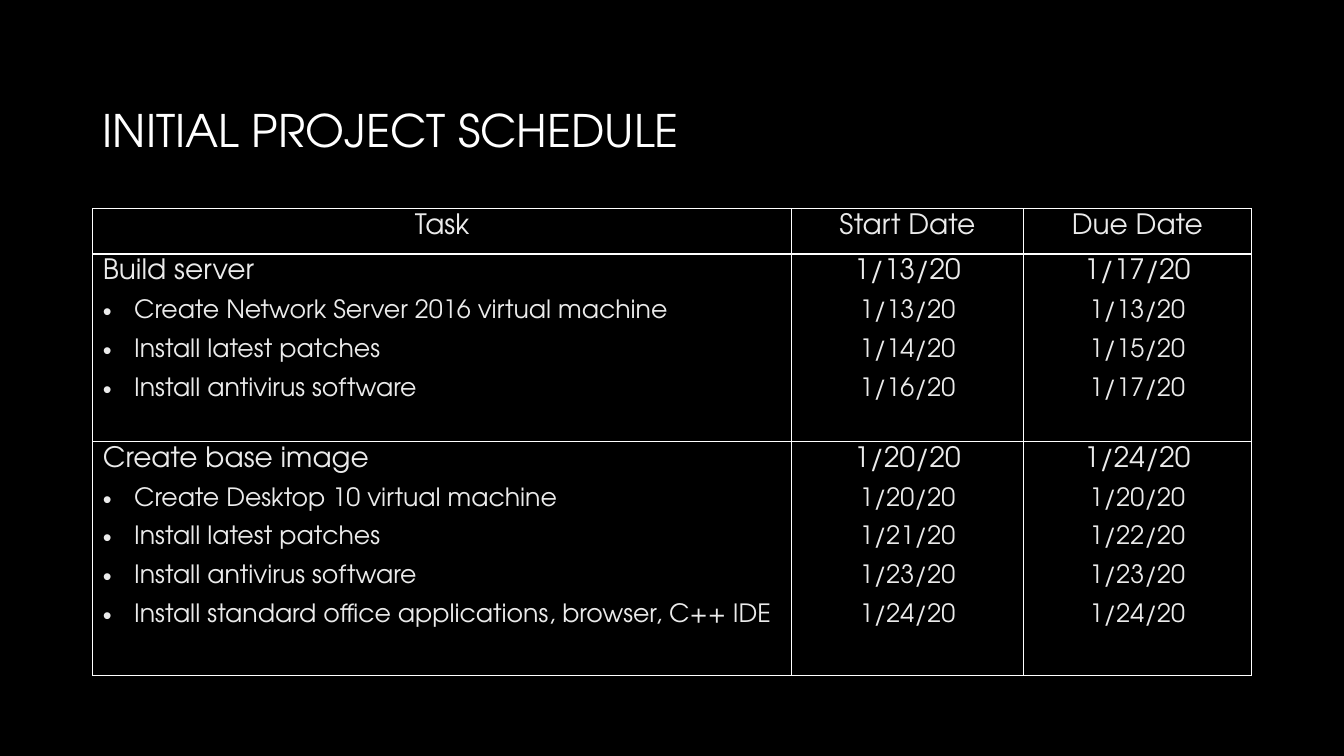
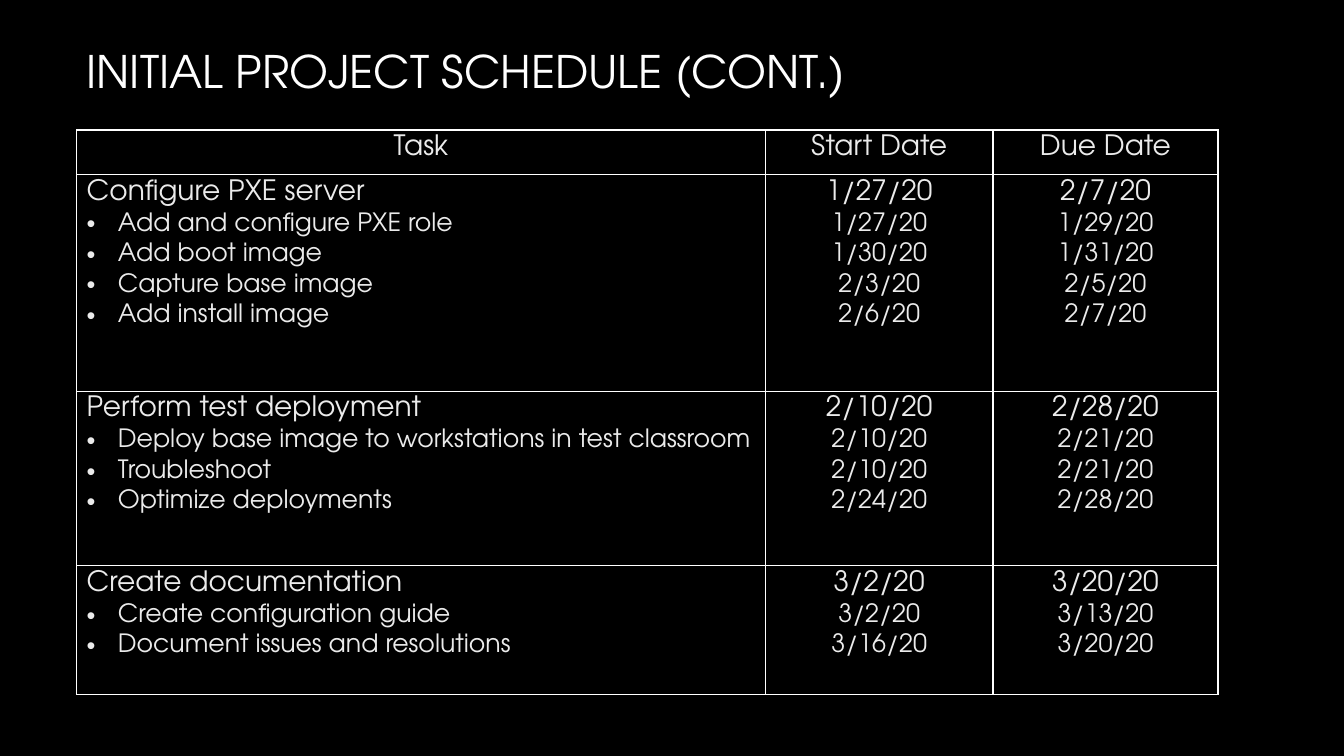
from pptx import Presentation
from pptx.util import Inches, Pt
from pptx.dml.color import RGBColor as RGB
from pptx.enum.text import MSO_ANCHOR as Anchor, PP_ALIGN as Align
from pptx.oxml import parse_xml as parse
from pptx.oxml.ns import nsdecls as decl

FONT = "TeX Gyre Adventor"
BLACK, WHITE, GRAY, PALE = "000000", "FFFFFF", "A6A6A6", "EBEBEB"
HEAD = ("Task", "Start Date", "Due Date")


def color(code):
    return RGB.from_string(code)


def write(para, text, size=18, hue=PALE, align=Align.LEFT, gap=(0, 0), bullet=False):
    para.alignment = align
    para.space_before, para.space_after = Pt(gap[0]), Pt(gap[1])
    run = para.add_run()
    run.text = text
    run.font.name = FONT
    run.font.size = Pt(size)
    run.font.bold = False
    run.font.color.rgb = color(hue)
    if bullet:
        props = para._p.get_or_add_pPr()
        props.set("marL", str(Inches(0.31)))
        props.set("indent", str(-Inches(0.31)))
        props.append(parse(f'<a:buFont {decl("a")} typeface="Arial"/>'))
        props.append(parse(f'<a:buChar {decl("a")} char="•"/>'))
    return run


class Deck:
    def __init__(self):
        self.prs = Presentation()
        self.prs.slide_width = Inches(13.33)
        self.prs.slide_height = Inches(7.5)
        fill = self.prs.slide_master.background.fill
        fill.solid()
        fill.fore_color.rgb = color(BLACK)

    def page(self, text, left, top):
        self.slide = self.prs.slides.add_slide(self.prs.slide_layouts[5])
        title = self.slide.shapes.title
        title.left, title.top = Inches(left), Inches(top)
        title.width, title.height = Inches(10.83), Inches(0.81)
        frame = title.text_frame
        frame.word_wrap = True
        frame.vertical_anchor = Anchor.MIDDLE
        run = write(frame.paragraphs[0], text, size=32, hue=WHITE)
        fill = run.font.fill
        fill.gradient()
        fill.gradient_angle = 267
        for stop, hue in zip(fill.gradient_stops, (WHITE, GRAY)):
            stop.color.rgb = color(hue)

    def border(self, cell):
        props = cell._tc.get_or_add_tcPr()
        for spot, side in enumerate(("lnL", "lnR", "lnT", "lnB")):
            props.insert(spot, parse(
                f'<a:{side} {decl("a")} w="{Pt(1)}"><a:solidFill>'
                f'<a:srgbClr val="{WHITE}"/></a:solidFill></a:{side}>'))

    def cell(self, cell, lines, align, gap, bullet):
        cell.fill.background()
        cell.vertical_anchor = Anchor.TOP
        cell.margin_left = cell.margin_right = Inches(0.1)
        cell.margin_top = Inches(0.05)
        cell.margin_bottom = 0
        frame = cell.text_frame
        for spot, line in enumerate(lines):
            para = frame.add_paragraph() if spot else frame.paragraphs[0]
            write(para, line, size=18 if spot else 20, align=align,
                  gap=gap, bullet=bullet and spot > 0)
        self.border(cell)

    def table(self, left, top, widths, heights, gap, groups):
        grid = self.slide.shapes.add_table(
            len(heights), len(widths), Inches(left), Inches(top),
            Inches(sum(widths)), Inches(sum(heights))).table
        grid.first_row = grid.horz_banding = False
        for col, width in zip(grid.columns, widths):
            col.width = Inches(width)
        for row, height in zip(grid.rows, heights):
            row.height = Inches(height)
        for spot, name in enumerate(HEAD):
            self.cell(grid.cell(0, spot), [name], Align.CENTER, (4.8, 6), False)
        for row, group in enumerate(groups, 1):
            for col, lines in enumerate(zip(*group)):
                align = Align.CENTER if col else Align.LEFT
                self.cell(grid.cell(row, col), lines, align, gap, col == 0)


def main():
    deck = Deck()
    deck.page("INITIAL PROJECT SCHEDULE", 0.92, 0.88)
    deck.table(0.92, 2.07, (6.93, 2.3, 2.26), (0.45, 1.86, 2.32), (4.8, 6), [
        [("Build server", "1/13/20", "1/17/20"),
         ("Create Network Server 2016 virtual machine", "1/13/20", "1/13/20"),
         ("Install latest patches", "1/14/20", "1/15/20"),
         ("Install antivirus software", "1/16/20", "1/17/20")],
        [("Create base image", "1/20/20", "1/24/20"),
         ("Create Desktop 10 virtual machine", "1/20/20", "1/20/20"),
         ("Install latest patches", "1/21/20", "1/22/20"),
         ("Install antivirus software", "1/23/20", "1/23/20"),
         ("Install standard office applications, browser, C++ IDE", "1/24/20", "1/24/20")],
    ])
    deck.page("INITIAL PROJECT SCHEDULE (CONT.)", 0.76, 0.3)
    deck.table(0.76, 1.29, (6.83, 2.26, 2.23), (0.44, 2.15, 1.73, 1.28), (2.5, 2.5), [
        [("Configure PXE server", "1/27/20", "2/7/20"),
         ("Add and configure PXE role", "1/27/20", "1/29/20"),
         ("Add boot image", "1/30/20", "1/31/20"),
         ("Capture base image", "2/3/20", "2/5/20"),
         ("Add install image", "2/6/20", "2/7/20")],
        [("Perform test deployment", "2/10/20", "2/28/20"),
         ("Deploy base image to workstations in test classroom", "2/10/20", "2/21/20"),
         ("Troubleshoot", "2/10/20", "2/21/20"),
         ("Optimize deployments", "2/24/20", "2/28/20")],
        [("Create documentation", "3/2/20", "3/20/20"),
         ("Create configuration guide", "3/2/20", "3/13/20"),
         ("Document issues and resolutions", "3/16/20", "3/20/20")],
    ])
    deck.prs.save("out.pptx")


if __name__ == "__main__":
    main()
